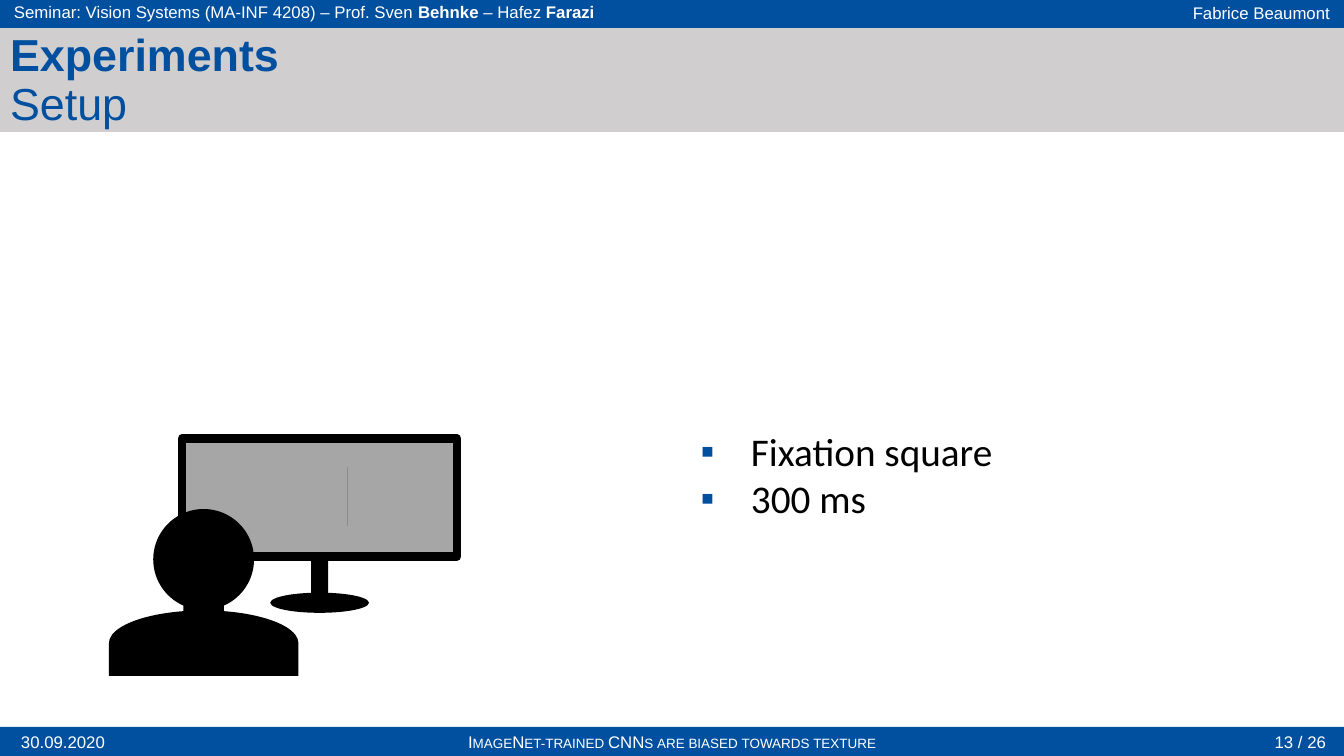
"""Build the experiment setup slide: a viewer at a screen, with the step described beside it."""
from lxml.etree import SubElement
from pptx import Presentation
from pptx.dml.color import RGBColor
from pptx.enum.shapes import MSO_CONNECTOR, MSO_SHAPE
from pptx.enum.text import MSO_ANCHOR, MSO_AUTO_SIZE, PP_ALIGN
from pptx.oxml.ns import qn
from pptx.util import Inches, Pt

WIDTH, HEIGHT, BAR = 13.33, 7.5, 0.29
BAND_TOP, BAND_HEIGHT = 0.28, 1.03
FOOT = HEIGHT - BAR
SCREEN_AXIS, VIEWER_AXIS = 3.17, 2.02
COLORS = {"blue": "0150A0", "band": "D0CECE", "screen": "A6A6A6", "mark": "8C8C8C",
          "black": "000000", "white": "FFFFFF"}

TITLE = [("Experiments", True), ("Setup", False)]
STEPS = ["Fixation square", "300 ms"]
SEMINAR = [("Seminar: Vision Systems (MA-INF 4208) – Prof. Sven ", False), ("Behnke", True),
           (" – Hafez ", False), ("Farazi", True)]
BAR_TEXTS = [
    ([("Fabrice Beaumont", False)], 10.41, -0.02, 2.88, PP_ALIGN.RIGHT, False),
    ([("30.09.2020", False)], 0.02, FOOT, 1.21, PP_ALIGN.CENTER, False),
    ([("ImageNet-trained CNNs are biased towards texture", False)],
     3.99, FOOT, 5.35, PP_ALIGN.CENTER, True),
    (SEMINAR, 0.04, -0.03, 8.25, PP_ALIGN.LEFT, False),
    ([("13 / 26", False)], 12.34, FOOT, 0.91, PP_ALIGN.RIGHT, False),
]
BANDS = [(FOOT, BAR, "blue"), (-0.01, BAR, "blue"), (BAND_TOP, BAND_HEIGHT, "band")]
SCENE = [
    (MSO_SHAPE.RECTANGLE, SCREEN_AXIS, 4.35, 2.73, 1.17, "screen", 6, 0),
    (MSO_SHAPE.RECTANGLE, SCREEN_AXIS, 5.51, 0.17, 0.41, "black", 0, 0),
    (MSO_SHAPE.OVAL, SCREEN_AXIS, 5.88, 0.98, 0.2, "black", 0, 0),
    (MSO_SHAPE.OVAL, VIEWER_AXIS, 5.05, 1, 1, "black", 0, 0),
    (MSO_SHAPE.FLOWCHART_DELAY, VIEWER_AXIS, 5.44, 0.65, 1.88, "black", 0, 270),
    (MSO_SHAPE.RECTANGLE, VIEWER_AXIS, 5.82, 0.4, 0.47, "black", 0, 0),
]
MARK_X, MARK_TOP, MARK_LENGTH = 3.45, 4.63, 0.59


def rgb(name):
    return RGBColor.from_string(COLORS[name])


def set_all(target, values):
    for key, value in values.items():
        setattr(target, key, value)


def add_run(paragraph, text, size, color, bold=False, font="Arial"):
    run = paragraph.add_run()
    run.text = text
    set_all(run.font, {"size": Pt(size), "name": font, "bold": bold})
    run.font.color.rgb = rgb(color)
    return run


def add_part(slide, kind, left, top, width, height, color, outline=0, rotation=0):
    part = slide.shapes.add_shape(kind, *map(Inches, (left, top, width, height)))
    part.shadow.inherit = False
    part.rotation = rotation
    part.fill.solid()
    part.fill.fore_color.rgb = rgb(color)
    if outline:
        part.line.width = Pt(outline)
        part.line.color.rgb = rgb("black")
    else:
        part.line.fill.background()


def add_bar_text(slide, runs, left, top, width, align, small_caps):
    label = slide.shapes.add_textbox(*map(Inches, (left, top, width, BAR)))
    set_all(label.text_frame, {"word_wrap": True, "vertical_anchor": MSO_ANCHOR.MIDDLE})
    paragraph = label.text_frame.paragraphs[0]
    paragraph.alignment = align
    for text, bold in runs:
        run = add_run(paragraph, text, 12, "white", bold)
        if small_caps:
            run.font._element.set("cap", "small")


def place_title(slide):
    title = slide.shapes.title
    slide.shapes._spTree.append(title._element)
    set_all(title, {"left": 0, "top": Inches(BAND_TOP),
                    "width": Inches(11.5), "height": Inches(0.53)})
    set_all(title.text_frame, {"word_wrap": True, "auto_size": MSO_AUTO_SIZE.NONE,
                               "vertical_anchor": MSO_ANCHOR.TOP})
    paragraph = title.text_frame.paragraphs[0]
    set_all(paragraph, {"alignment": PP_ALIGN.LEFT, "line_spacing": 0.9, "space_before": Pt(0)})
    for index, (text, bold) in enumerate(TITLE):
        if index:
            paragraph.add_line_break()
        add_run(paragraph, text, 32, "blue", bold)


def add_mark(slide):
    ends = map(Inches, (MARK_X, MARK_TOP, MARK_X, MARK_TOP + MARK_LENGTH))
    mark = slide.shapes.add_connector(MSO_CONNECTOR.STRAIGHT, *ends)
    mark.line.width = Pt(0.5)
    mark.line.color.rgb = rgb("mark")
    SubElement(mark._element.spPr, qn("a:effectLst"))


def add_steps(slide):
    steps = slide.shapes.add_textbox(*map(Inches, (6.85, 4.19, 3.13, 1.04)))
    set_all(steps.text_frame, {"word_wrap": False, "auto_size": MSO_AUTO_SIZE.SHAPE_TO_FIT_TEXT})
    for index, step in enumerate(STEPS):
        frame = steps.text_frame
        paragraph = frame.add_paragraph() if index else frame.paragraphs[0]
        props = paragraph._p.get_or_add_pPr()
        props.set("marL", str(Inches(0.5)))
        props.set("indent", str(Inches(-0.5)))
        SubElement(SubElement(props, qn("a:buClr")), qn("a:srgbClr"), val=COLORS["blue"])
        SubElement(props, qn("a:buFont"), typeface="Arial")
        SubElement(props, qn("a:buChar"), char="▪")
        add_run(paragraph, step, 28, "black", font="Calibri")


def main():
    deck = Presentation()
    set_all(deck, {"slide_width": Inches(WIDTH), "slide_height": Inches(HEIGHT)})
    slide = deck.slides.add_slide(deck.slide_layouts[5])
    for top, height, color in BANDS:
        add_part(slide, MSO_SHAPE.RECTANGLE, 0, top, WIDTH, height, color)
    for bar_text in BAR_TEXTS:
        add_bar_text(slide, *bar_text)
    place_title(slide)
    for kind, axis, top, width, height, color, outline, rotation in SCENE:
        add_part(slide, kind, axis - width / 2, top, width, height, color, outline, rotation)
    add_mark(slide)
    add_steps(slide)
    deck.save("out.pptx")


if __name__ == "__main__":
    main()
